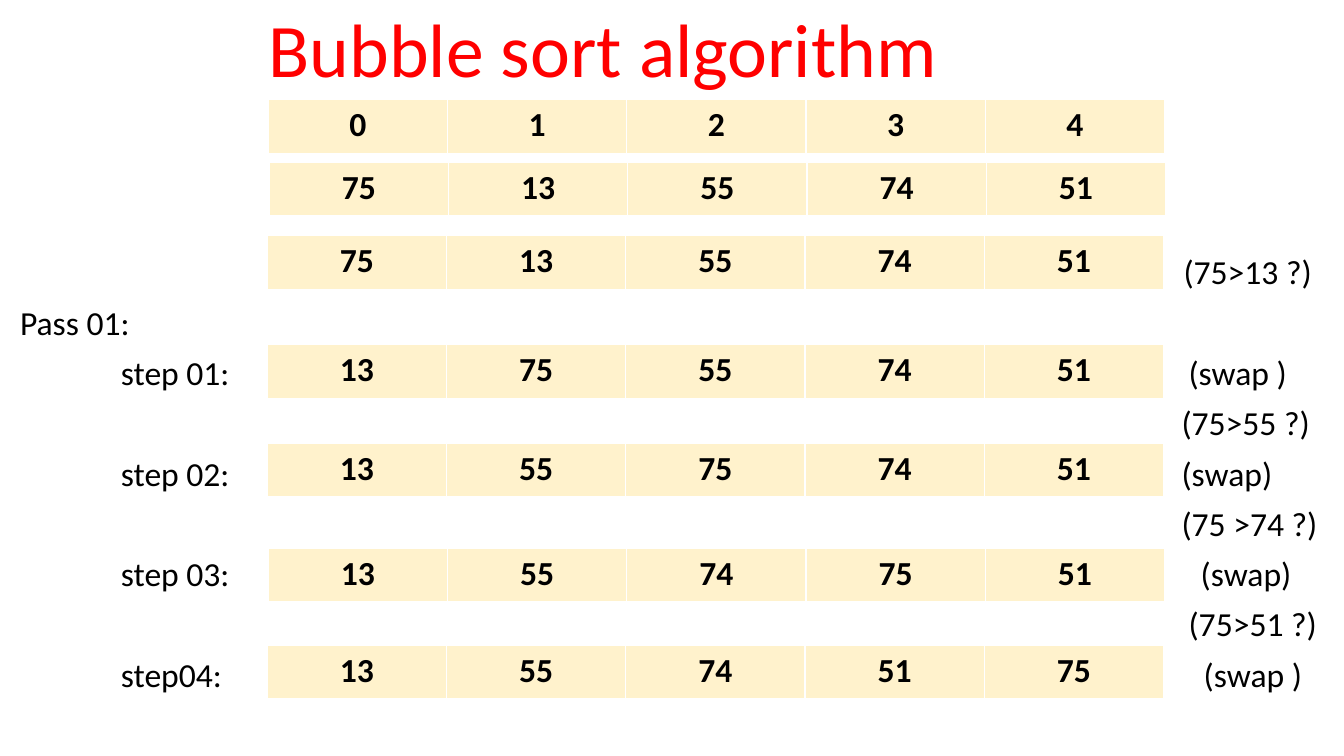
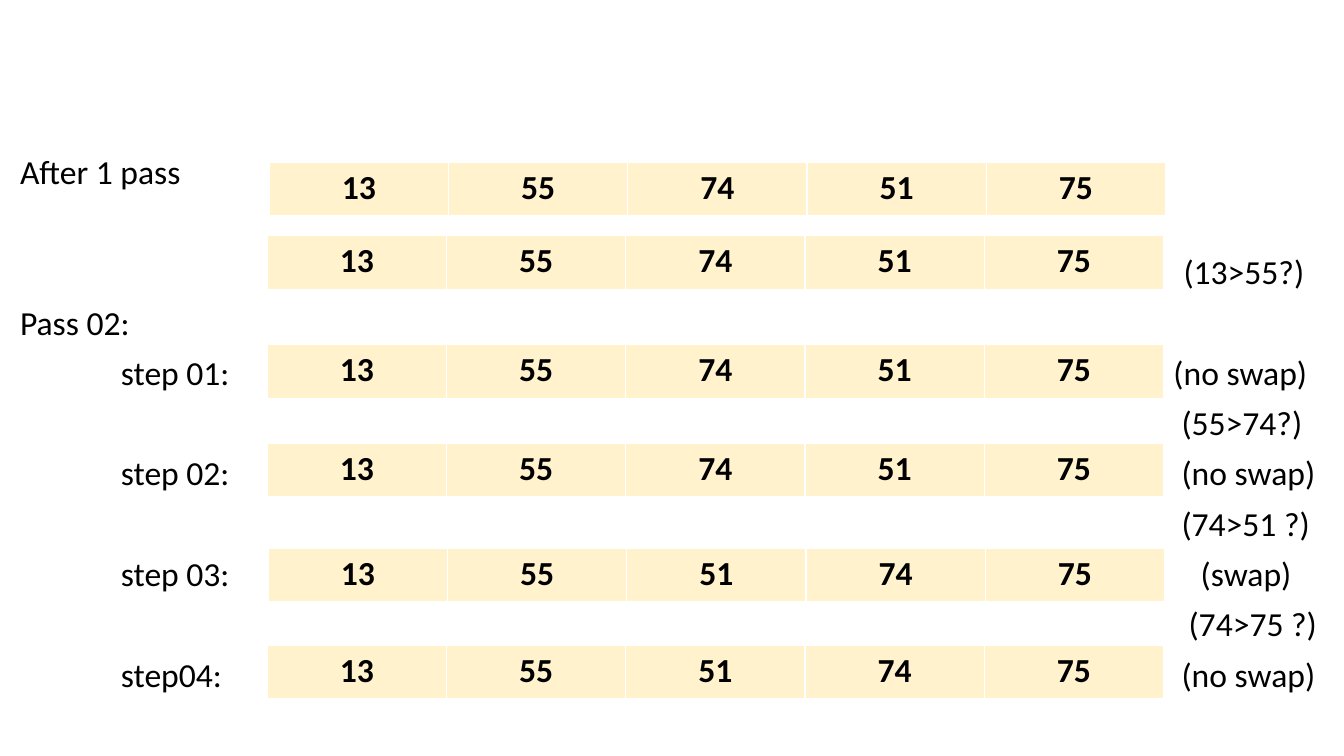
from lxml.etree import SubElement as Sub
from pptx import Presentation as Deck
from pptx.dml.color import RGBColor as Rgb
from pptx.enum.text import MSO_ANCHOR as Anchor, MSO_AUTO_SIZE as Fit, PP_ALIGN as Align
from pptx.oxml.ns import qn
from pptx.util import Inches, Pt

INK, RED, CREAM = "000000", "FF0000", "FFF2CC"
PITCH = 0.5
STEP = 1
PLACES = [(2.66, 0.99), (2.67, 1.61), (2.65, 2.34), (2.65, 3.42),
          (2.65, 4.4), (2.66, 5.44), (2.65, 6.4)]

TITLE = "Bubble sort algorithm"
START = [
    "0 1 2 3 4", "75 13 55 74 51", "75 13 55 74 51", "13 75 55 74 51",
    "13 55 75 74 51", "13 55 74 75 51", "13 55 74 51 75",
]
NEXT = ["13 55 74 51 75"] * 5 + ["13 55 51 74 75"] * 2
FIRST = [
    (3, "", 11.54, "(75>13 ?)"),
    (4, "Pass 01:", 0, ""),
    (5, "step 01:", 11.59, "(swap )"),
    (6, "", 11.52, "(75>55 ?)"),
    (7, "step 02:", 11.52, "(swap)"),
    (8, "", 11.52, "(75 >74 ?)"),
    (9, "step 03:", 11.71, "(swap)"),
    (10, "", 11.59, "(75>51 ?)"),
    (11, "step04:", 11.74, "(swap )"),
]
SECOND = [
    (1, "After 1 pass", 0, ""),
    (3, "", 11.54, "(13>55?)"),
    (4, "Pass 02:", 0, ""),
    (5, "step 01:", 11.44, "(no swap)"),
    (6, "", 11.52, "(55>74?)"),
    (7, "step 02:", 11.52, "(no swap)"),
    (8, "", 11.52, "(74>51 ?)"),
    (9, "step 03:", 11.71, "(swap)"),
    (10, "", 11.59, "(74>75 ?)"),
    (11, "step04:", 11.52, "(no swap)"),
]


def color(code):
    """Turn a hex string into a colour."""
    return Rgb.from_string(code)


class Show:
    """Hold the deck, its style and the current slide."""

    def __init__(self):
        """Start an empty wide deck."""
        self.deck = Deck()
        self.deck.slide_width = Inches(13.33)
        self.deck.slide_height = Inches(7.5)
        self.slide = None

    def page(self, title=""):
        """Add a slide, with a title if one is given."""
        layout = self.deck.slide_layouts[5 if title else 6]
        self.slide = self.deck.slides.add_slide(layout)
        if title:
            self.head(title)

    def style(self, para, size=24, tint=INK, bold=False):
        """Set the font of a paragraph."""
        font = para.font
        font.name, font.size, font.bold = "Calibri", Pt(size), bold
        font.color.rgb = color(tint)

    def head(self, text):
        """Place and format the title."""
        box = self.slide.shapes.title
        box.left, box.top = Inches(1.82), Inches(0.21)
        box.width, box.height = Inches(8.32), Inches(0.77)
        frame = box.text_frame
        frame.text = text
        frame.auto_size = Fit.NONE
        frame.vertical_anchor = Anchor.BOTTOM
        para = frame.paragraphs[0]
        para.alignment = Align.CENTER
        para.line_spacing = 0.9
        self.style(para, 54, RED)

    def row(self, place, values):
        """Draw one state of the list as a table."""
        left, top = place
        table = self.slide.shapes.add_table(
            1, len(values), Inches(left), Inches(top), Inches(8.89), Inches(0.53)).table
        for cell, value in zip(table.rows[0].cells, values):
            cell.text = value
            cell.fill.solid()
            cell.fill.fore_color.rgb = color(CREAM)
            para = cell.text_frame.paragraphs[0]
            para.alignment = Align.CENTER
            self.style(para, bold=True)

    def tabs(self, para, stops):
        """Give a paragraph left tab stops."""
        tabs = Sub(para._p.get_or_add_pPr(), qn("a:tabLst"))
        for stop in stops:
            Sub(tabs, qn("a:tab"), pos=str(Inches(stop)), algn="l")

    def notes(self, lines):
        """Write labels on the left and remarks on the right of the rows."""
        last = lines[0][0]
        top = 0.99 + PITCH * last
        box = self.slide.shapes.add_textbox(
            Inches(0.1), Inches(top), Inches(13.12), Inches(7.39 - top))
        frame = box.text_frame
        frame.word_wrap = True
        for i, (line, label, stop, note) in enumerate(lines):
            para = frame.add_paragraph() if i else frame.paragraphs[0]
            step = label.startswith("step")
            para.text = ("\t" if step else "") + label + ("\t" + note if note else "")
            para.line_spacing = 0.9
            skip = max(line - last - 1, 0)
            para.space_before = Pt(10 + 72 * PITCH * skip if i else 0)
            if note:
                self.tabs(para, [STEP, stop] if step else [stop])
            self.style(para)
            last = line


def main():
    """Build both passes and save the deck."""
    show = Show()
    for title, lines, places, states in (
            (TITLE, FIRST, PLACES, START), ("", SECOND, PLACES[1:], NEXT[1:])):
        show.page(title)
        show.notes(lines)
        for place, state in zip(places, states):
            show.row(place, state.split())
    show.deck.save("out.pptx")


if __name__ == "__main__":
    main()
